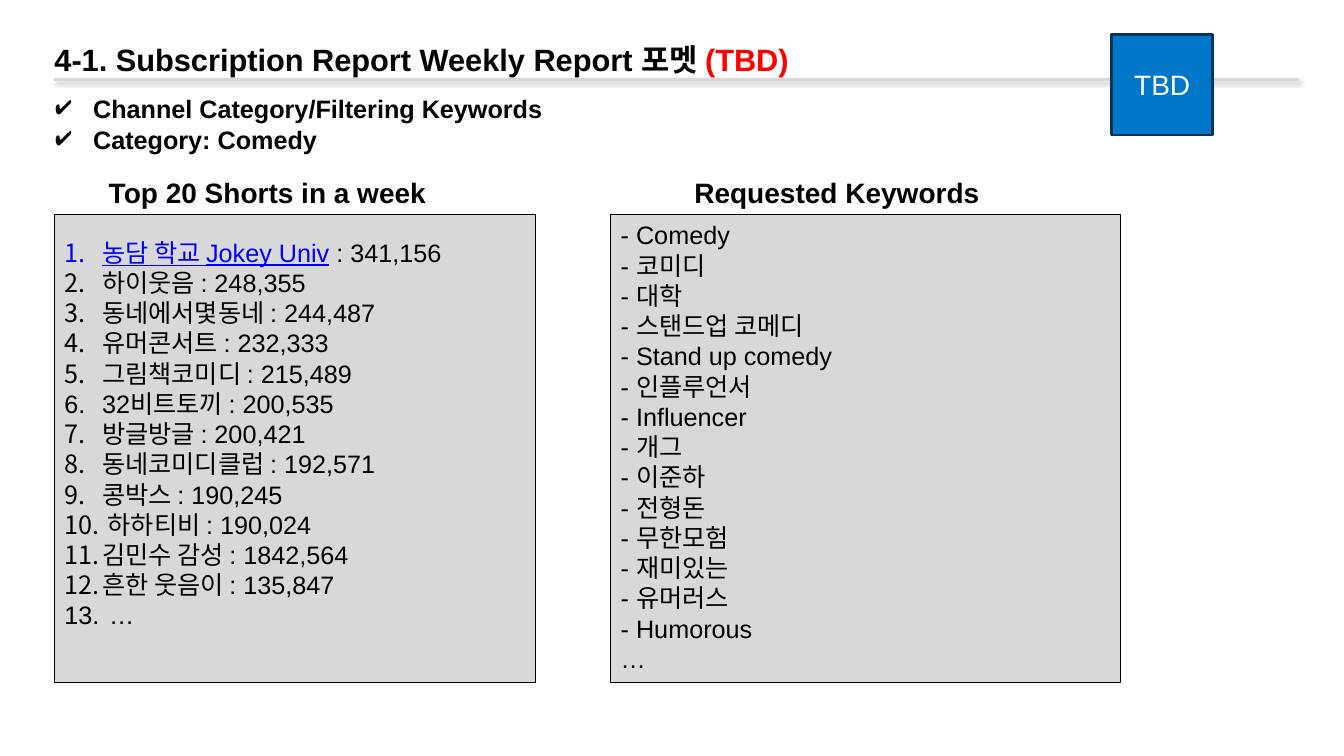
import pptx
import pptx.dml.color
import pptx.enum.shapes
import pptx.enum.text
import pptx.oxml
import pptx.oxml.ns
import pptx.util

Pt = pptx.util.Pt
RECTANGLE = pptx.enum.shapes.MSO_SHAPE.RECTANGLE
MIDDLE = pptx.enum.text.MSO_ANCHOR.MIDDLE
TOP = pptx.enum.text.MSO_ANCHOR.TOP
NAMESPACE = pptx.oxml.ns.nsdecls("a")


def color(value):
    return pptx.dml.color.RGBColor.from_string(value)


def format_text(text_frame, size, value="000000", bold=False, bullet=None):
    for paragraph in text_frame.paragraphs:
        for run in paragraph.runs:
            run.font.name = "Arial"
            run.font.size = Pt(size)
            run.font.bold = bold
            run.font.color.rgb = color(value)
        if bullet:
            properties = paragraph._p.get_or_add_pPr()
            properties.set("marL", str(Pt(27)))
            properties.set("indent", str(Pt(-27)))
            for tag in ('buFont typeface="+mj-ea"', bullet):
                properties.append(pptx.oxml.parse_xml(f"<a:{tag} {NAMESPACE}/>"))


presentation = pptx.Presentation()
presentation.slide_width = Pt(960)
presentation.slide_height = Pt(540)
slide = presentation.slides.add_slide(presentation.slide_layouts[5])

title = slide.shapes.title
title.left, title.top, title.width, title.height = Pt(38.9), Pt(23.8), Pt(920), Pt(31.7)
title_frame = title.text_frame
title_frame.margin_left = title_frame.margin_right = 0
title_frame.margin_top = title_frame.margin_bottom = 0
title_frame.vertical_anchor = TOP
title_frame.auto_size = pptx.enum.text.MSO_AUTO_SIZE.NONE
title_frame.text = "4-1. Subscription Report Weekly Report 포멧 "
title_paragraph = title_frame.paragraphs[0]
title_paragraph.alignment = pptx.enum.text.PP_ALIGN.LEFT
title_paragraph.line_spacing = 1.2
status_run = title_paragraph.add_run()
status_run.text = "(TBD)"
format_text(title_frame, 22, bold=True)
status_run.font.color.rgb = color("FF0000")

rule = slide.shapes.add_connector(
    pptx.enum.shapes.MSO_CONNECTOR.STRAIGHT, Pt(38.9), Pt(56.9), Pt(928), Pt(56.9))
rule.line.color.rgb = color("D8D8D8")
rule.line.width = Pt(2)
rule._element.spPr.append(pptx.oxml.parse_xml(
    f'<a:effectLst {NAMESPACE}><a:outerShdw blurRad="{Pt(3.1)}" dist="{Pt(1.6)}" dir="5400000" '
    'rotWithShape="0"><a:srgbClr val="000000"><a:alpha val="38000"/></a:srgbClr>'
    '</a:outerShdw></a:effectLst>'))

topics = slide.shapes.add_textbox(Pt(32.4), Pt(63.4), Pt(896), Pt(44.6))
topics.text_frame.word_wrap = True
topics.text_frame.text = "Channel Category/Filtering Keywords\nCategory: Comedy"
format_text(topics.text_frame, 18, bold=True, bullet='buChar char="✔"')

channels = [
    ("농담 학교 Jokey Univ", "341,156"),
    ("하이웃음", "248,355"),
    ("동네에서몇동네", "244,487"),
    ("유머콘서트", "232,333"),
    ("그림책코미디", "215,489"),
    ("32비트토끼", "200,535"),
    ("방글방글", "200,421"),
    ("동네코미디클럽", "192,571"),
    ("콩박스", "190,245"),
    (" 하하티비", "190,024"),
    ("김민수 감성", "1842,564"),
    ("흔한 웃음이", "135,847"),
]
ranking = "\n".join([f"{name} : {views}" for name, views in channels] + [" …"])
keywords = ["Comedy", "코미디", "대학", "스탠드업 코메디", "Stand up comedy", "인플루언서",
            "Influencer", "개그", "이준하", "전형돈", "무한모험", "재미있는", "유머러스", "Humorous"]
keyword_list = "\n".join([f"- {keyword}" for keyword in keywords] + ["…"])

panels = [
    ("Top 20 Shorts in a week", 70.6, 280, 38.9, 343.4, ranking, MIDDLE, 25.2,
     'buAutoNum type="arabicPeriod"'),
    ("Requested Keywords", 488.9, 260, 436.3, 364.3, keyword_list, TOP, 3.6, None),
]
for heading, heading_left, heading_width, left, width, text, anchor, bottom, bullet in panels:
    label = slide.shapes.add_textbox(Pt(heading_left), Pt(121.7), Pt(heading_width), Pt(31.7))
    label.text_frame.word_wrap = True
    label.text_frame.text = heading
    format_text(label.text_frame, 20, bold=True)

    panel = slide.shapes.add_shape(RECTANGLE, Pt(left), Pt(153.4), Pt(width), Pt(334.1))
    panel.shadow.inherit = False
    panel.fill.solid()
    panel.fill.fore_color.rgb = color("D8D8D8")
    panel.line.color.rgb = color("000000")
    panel.line.width = Pt(0.75)
    panel.text_frame.vertical_anchor = anchor
    panel.text_frame.margin_bottom = Pt(bottom)
    panel.text_frame.text = text
    for paragraph in panel.text_frame.paragraphs:
        paragraph.alignment = pptx.enum.text.PP_ALIGN.LEFT
    if text == ranking:
        leader = panel.text_frame.paragraphs[0]
        leader.text = channels[0][0]
        leader.add_run().text = f" : {channels[0][1]}"
    format_text(panel.text_frame, 18, bullet=bullet)
    if text == ranking:
        leader.runs[0].font.color.rgb = color("0000FF")
        leader.runs[0].font.underline = True

badge = slide.shapes.add_shape(RECTANGLE, Pt(794.2), Pt(24.5), Pt(72), Pt(72))
badge.shadow.inherit = False
badge.fill.solid()
badge.fill.fore_color.rgb = color("0077C8")
badge.line.color.rgb = color("003458")
badge.line.width = Pt(2)
badge.text_frame.vertical_anchor = MIDDLE
badge.text_frame.text = "TBD"
badge.text_frame.paragraphs[0].alignment = pptx.enum.text.PP_ALIGN.CENTER
format_text(badge.text_frame, 20, "FFFFFF")

presentation.save("out.pptx")
